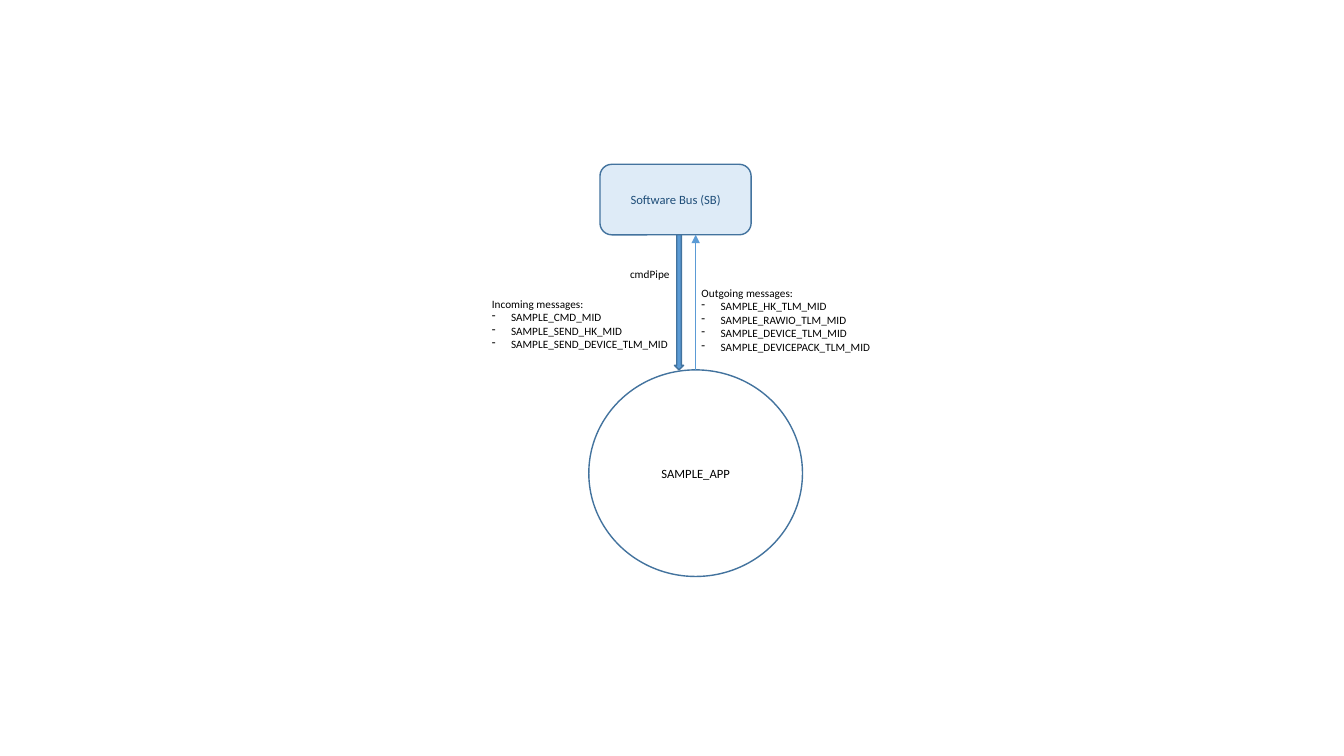
from lxml import etree
from pptx import Presentation
from pptx.dml.color import RGBColor
from pptx.enum.dml import MSO_LINE
from pptx.enum.shapes import MSO_CONNECTOR, MSO_SHAPE
from pptx.enum.text import MSO_ANCHOR, MSO_AUTO_SIZE, PP_ALIGN
from pptx.oxml.ns import qn
from pptx.util import Inches, Pt

ELLIPSE, ROUNDED, DOWN_ARROW = MSO_SHAPE.OVAL, MSO_SHAPE.ROUNDED_RECTANGLE, MSO_SHAPE.DOWN_ARROW
STRAIGHT, SOLID = MSO_CONNECTOR.STRAIGHT, MSO_LINE.SOLID
CENTER, MIDDLE = PP_ALIGN.CENTER, MSO_ANCHOR.MIDDLE
FIT_SHAPE = MSO_AUTO_SIZE.SHAPE_TO_FIT_TEXT

FONT = "Calibri"
BLACK, OUTLINE, BLUE, PALE, NAVY = "000000", "43739E", "5B9BD5", "DEEBF7", "1F4E79"
INDENT = Inches(0.19)

prs = Presentation()
prs.slide_width, prs.slide_height = Inches(13.33), Inches(7.5)
COL, ROW = prs.slide_width / 100, prs.slide_height / 100


def color(value):
    return RGBColor.from_string(value)


def place(box, x, y, w, h):
    left, top = box
    return [round(v) for v in ((left + x) * COL, (top + y) * ROW, w * COL, h * ROW)]


def set_font(p, size, value):
    p.font.name, p.font.size = FONT, Pt(size)
    p.font.color.rgb = color(value)


def set_line(line, value, width):
    line.color.rgb = color(value)
    line.width = Pt(width)
    line.dash_style = SOLID


def add_node(slide, kind, frame, fill=None, text=None, text_color=BLACK):
    sp = slide.shapes.add_shape(kind, *frame)
    sp.shadow.inherit = False
    if fill:
        sp.fill.solid()
        sp.fill.fore_color.rgb = color(fill)
    else:
        sp.fill.background()
    set_line(sp.line, OUTLINE, 1)
    if text:
        tf = sp.text_frame
        tf.vertical_anchor = MIDDLE
        p = tf.paragraphs[0]
        p.text, p.alignment = text, CENTER
        set_font(p, 9, text_color)
    return sp


def add_label(slide, frame, heading, items=()):
    tf = slide.shapes.add_textbox(*frame).text_frame
    tf.word_wrap, tf.auto_size = False, FIT_SHAPE
    p = tf.paragraphs[0]
    p.text = heading
    set_font(p, 8, BLACK)
    for item in items:
        p = tf.add_paragraph()
        p.text = item
        set_font(p, 8, BLACK)
        pPr = p._p.get_or_add_pPr()
        pPr.set("marL", str(INDENT))
        pPr.set("indent", str(-INDENT))
        bullet = etree.Element(qn("a:buChar"), char="-")
        pPr.insert(0, bullet)


def add_arrow(slide, start, end):
    cxn = slide.shapes.add_connector(STRAIGHT, *start, *end)
    set_line(cxn.line, BLUE, 0.5)
    etree.SubElement(cxn.line._get_or_add_ln(), qn("a:tailEnd"), type="triangle")
    etree.SubElement(cxn._element.spPr, qn("a:effectLst"))


def message_flow(slide, box):
    app = add_node(slide, ELLIPSE, place(box, 7.95, 27.2, 15.9, 27.33), text="SAMPLE_APP")
    add_node(slide, DOWN_ARROW, place(box, 14.33, 9.2, 0.68, 18), BLUE)
    bus = add_node(slide, ROUNDED, place(box, 8.78, 0, 11.25, 9.33), PALE,
                   "Software Bus (SB)", NAVY)
    add_label(slide, place(box, 10.28, 12.93, 4.65, 3.2), "cmdPipe")
    add_label(slide, place(box, 0, 16.93, 14.63, 8.53), "Incoming messages:",
              ["SAMPLE_CMD_MID", "SAMPLE_SEND_HK_MID", "SAMPLE_SEND_DEVICE_TLM_MID"])
    center = app.left + app.width // 2
    add_arrow(slide, (center, app.top), (center, bus.top + bus.height))
    add_label(slide, place(box, 15.6, 15.47, 14.33, 10.27), "Outgoing messages:",
              ["SAMPLE_HK_TLM_MID", "SAMPLE_RAWIO_TLM_MID", "SAMPLE_DEVICE_TLM_MID",
               "SAMPLE_DEVICEPACK_TLM_MID"])


slide = prs.slides.add_slide(prs.slide_layouts[6])
message_flow(slide, (35.86, 21.73))
prs.save("out.pptx")
